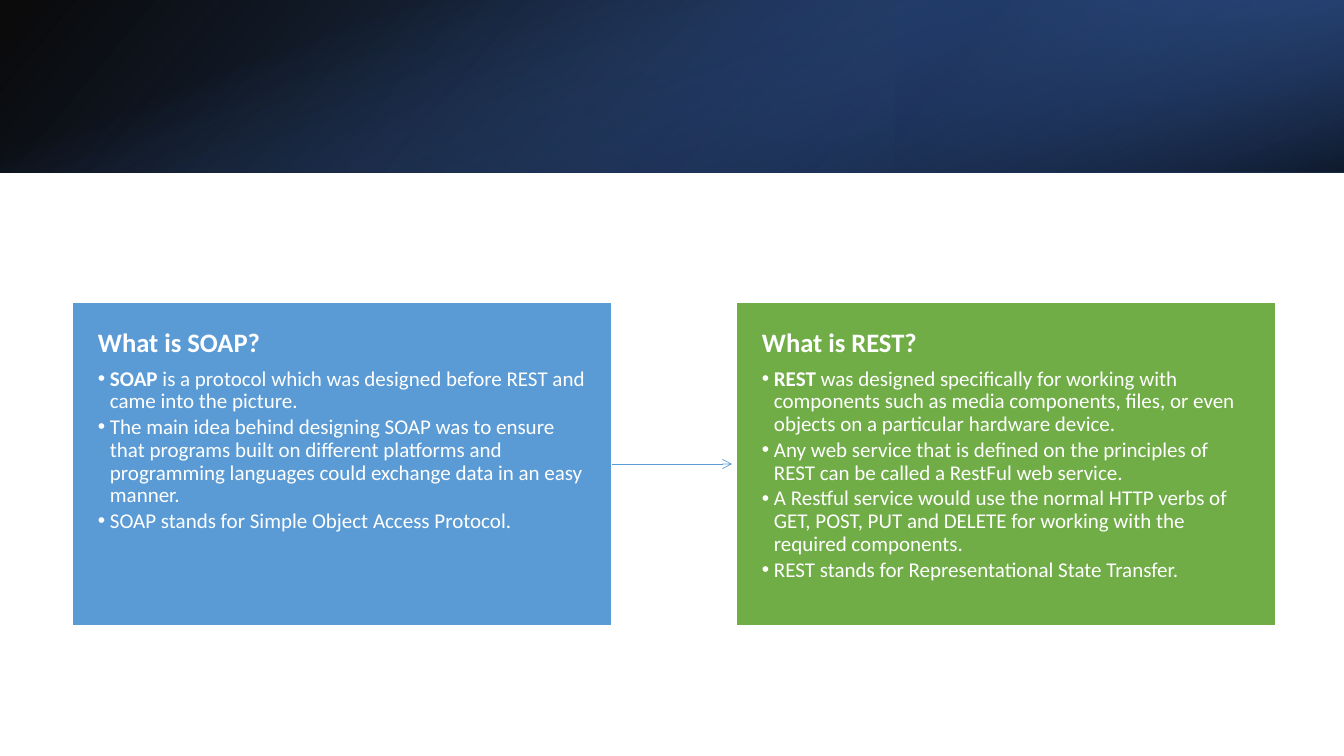
"""Build a slide that sets SOAP beside REST under a dark blue band."""
import lxml.etree
import pptx
import pptx.dml.color
import pptx.enum.dml
import pptx.enum.shapes
import pptx.enum.text
import pptx.oxml.ns
import pptx.util

WIDE, HIGH, BAND = 1344, 756, 173
LEFT, TOP, BOX_W, BOX_H, STEP = 72, 302, 540, 324, 664
PAD_X, PAD_Y, INDENT = 26, 28, 12
GAP = 4
FONT, WHITE, LINE = "Calibri", "FFFFFF", "5B9BD5"

# Each shade: box, rotation, flipped, angle, stops of (place, colour, opacity)
SHADES = [
    ((0, 0, WIDE, BAND), 0, True, 140, [(0, "000000", 96), (100, "2F5597", 100)]),
    ((896, 0, 448, BAND), 180, True, 320, [(19, "203864", 68), (100, "4472C4", 79)]),
    (((WIDE - BAND) / 2, (BAND - WIDE) / 2, BAND, WIDE), 90, False, 340,
     [(23, "4472C4", 0), (99, "000000", 74)]),
]
CARDS = [
    ("5B9BD5", "What is SOAP?", [
        ("SOAP", " is a protocol which was designed before REST and came into the picture."),
        ("", "The main idea behind designing SOAP was to ensure that programs built on different "
             "platforms and programming languages could exchange data in an easy manner."),
        ("", "SOAP stands for Simple Object Access Protocol."),
    ]),
    ("70AD47", "What is REST?", [
        ("REST", " was designed specifically for working with components such as media "
                 "components, files, or even objects on a particular hardware device."),
        ("", "Any web service that is defined on the principles of REST can be called a "
             "RestFul web service."),
        ("", "A Restful service would use the normal HTTP verbs of GET, POST, PUT and DELETE "
             "for working with the required components."),
        ("", "REST stands for Representational State Transfer."),
    ]),
]


def px(num):
    return pptx.util.Emu(round(num * 914400 / 100.8))


def tint(code):
    return pptx.dml.color.RGBColor.from_string(code)


def sub(node, tag, **attrs):
    return lxml.etree.SubElement(node, pptx.oxml.ns.qn(tag), attrs)


def write(para, text, size=15, bold=False, color=WHITE):
    run = para.add_run()
    run.text = text
    run.font.name, run.font.size, run.font.bold = FONT, pptx.util.Pt(size), bold
    run.font.color.rgb = tint(color)


def space(para, after, mark=None):
    para.line_spacing = 0.9
    para.space_before, para.space_after = pptx.util.Pt(0), pptx.util.Pt(after)
    para.alignment = pptx.enum.text.PP_ALIGN.LEFT
    props = para._p.get_or_add_pPr()
    inset = px(INDENT) if mark else 0
    props.set("marL", str(inset))
    props.set("indent", str(-inset))
    if mark:
        sub(props, "a:buChar", char=mark)
    else:
        sub(props, "a:buNone")


def shade(slide, box, turn, flip, angle, stops):
    rect = slide.shapes.add_shape(pptx.enum.shapes.MSO_SHAPE.RECTANGLE, *map(px, box))
    rect.shadow.inherit = False
    rect.line.fill.background()
    rect.rotation = turn
    if flip:
        rect._element.spPr.xfrm.set("flipH", "1")
    rect.fill.gradient()
    rect.fill.gradient_angle = 360 - angle
    for stop, (place, color, _) in zip(rect.fill.gradient_stops, stops):
        stop.position = place / 100
        stop.color.rgb = tint(color)
    nodes = rect._element.spPr.iter(pptx.oxml.ns.qn("a:srgbClr"))
    for node, (_, _, alpha) in zip(nodes, stops):
        sub(node, "a:alpha", val=str(alpha * 1000))


def card(body, left, color, head, items):
    body.left, body.top, body.width, body.height = map(px, (left, TOP, BOX_W, BOX_H))
    body.fill.solid()
    body.fill.fore_color.rgb = tint(color)
    body.line.color.rgb = tint(WHITE)
    body.line.width = pptx.util.Pt(1)
    frame = body.text_frame
    frame.word_wrap = True
    frame.auto_size = pptx.enum.text.MSO_AUTO_SIZE.NONE
    frame.vertical_anchor = pptx.enum.text.MSO_ANCHOR.TOP
    frame.margin_left = frame.margin_right = px(PAD_X)
    frame.margin_top = frame.margin_bottom = px(PAD_Y)
    space(frame.paragraphs[0], 6.65)
    write(frame.paragraphs[0], head, size=19, bold=True)
    for term, text in items:
        para = frame.add_paragraph()
        space(para, 2.25, mark="•")
        if term:
            write(para, term, bold=True)
        write(para, text)


def arrow(slide, start, end, level):
    link = slide.shapes.add_connector(
        pptx.enum.shapes.MSO_CONNECTOR.STRAIGHT, *map(px, (start, level, end, level)))
    link.line.color.rgb = tint(LINE)
    link.line.width = pptx.util.Pt(0.5)
    sub(link.line._get_or_add_ln(), "a:tailEnd", type="arrow")
    sub(link._element.spPr, "a:effectLst")


def main():
    deck = pptx.Presentation()
    deck.slide_width, deck.slide_height = px(WIDE), px(HIGH)
    slide = deck.slides.add_slide(deck.slide_layouts[3])
    title, *bodies = slide.placeholders
    title._element.getparent().remove(title._element)
    for part in SHADES:
        shade(slide, *part)
    for col, (body, data) in enumerate(zip(bodies, CARDS)):
        card(body, LEFT + col * STEP, *data)
    arrow(slide, LEFT + BOX_W, LEFT + STEP - GAP, TOP + BOX_H / 2)
    for extra in bodies[len(CARDS):]:
        extra._element.getparent().remove(extra._element)
    deck.save("out.pptx")


if __name__ == "__main__":
    main()
